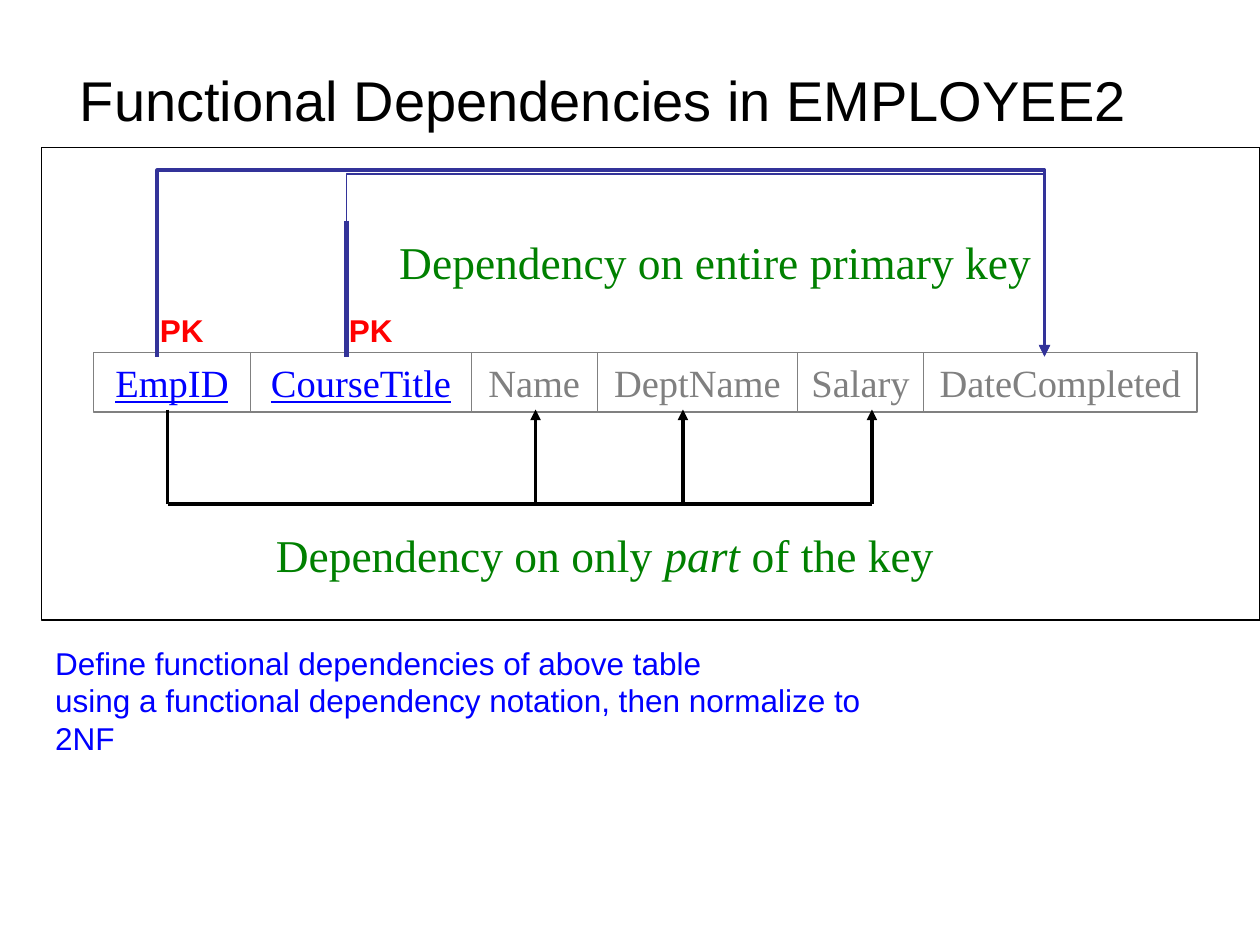
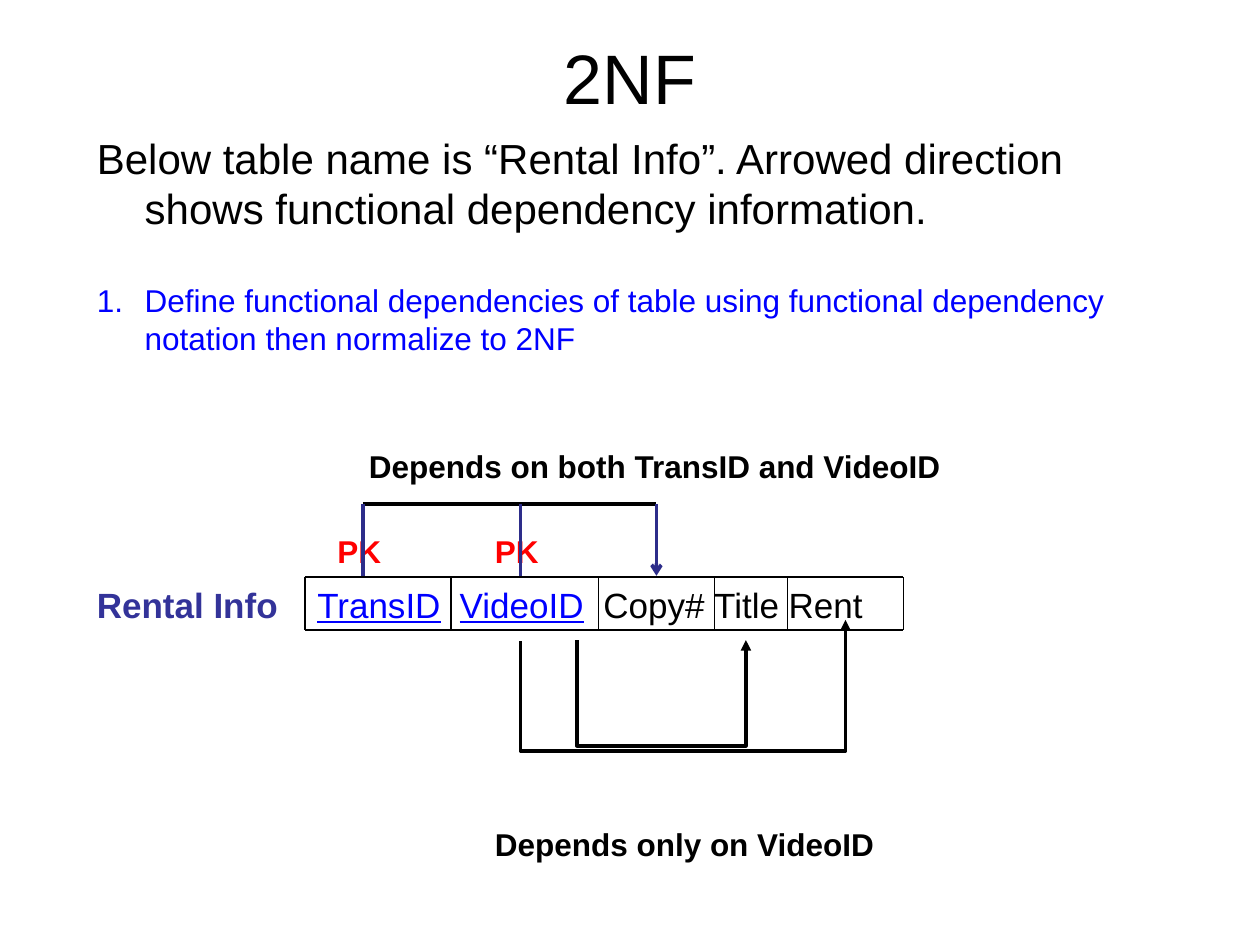
from dataclasses import dataclass
from itertools import accumulate

from lxml.etree import SubElement
from pptx import Presentation
from pptx.dml.color import RGBColor
from pptx.enum.shapes import MSO_CONNECTOR, MSO_SHAPE
from pptx.enum.text import MSO_ANCHOR, PP_ALIGN
from pptx.oxml.ns import qn
from pptx.util import Inches, Pt


@dataclass(frozen=True)
class Theme:
    sans: str = "Arial"
    serif: str = "Times New Roman"
    black: str = "000000"
    white: str = "FFFFFF"
    gray: str = "808080"
    blue: str = "0000FF"
    navy: str = "333399"
    deep_navy: str = "2D2D8A"
    green: str = "008000"
    red: str = "FF0000"
    title: int = 40
    long_title: int = 32
    caption: int = 26
    body: int = 24
    attribute: int = 22
    row: int = 20
    note: int = 18
    thin: float = 0.75
    medium: float = 2
    thick: float = 2.25
    key_stem: float = 2.5


THEME = Theme()


@dataclass(frozen=True)
class Box:
    left: float
    top: float
    width: float
    height: float

    def inner(self, left, top, width, height):
        return Box(self.left + left, self.top + top, width, height)

    def point(self, across, down):
        return Inches(self.left + across), Inches(self.top + down)

    def lengths(self):
        return [Inches(value) for value in (self.left, self.top, self.width, self.height)]


def write(frame, text, font=THEME.sans, size=THEME.note, color=THEME.black,
          align=PP_ALIGN.LEFT, bold=False, space_before=0):
    para = frame.paragraphs[0]
    if para.runs:
        para = frame.add_paragraph()
    para.alignment = align
    para.space_before = Pt(space_before)
    for words, changes in [(text, {})] if isinstance(text, str) else text:
        span = para.add_run()
        span.text = words
        span.font.name = font
        span.font.size = Pt(size)
        span.font.bold = changes.get("bold", bold)
        span.font.italic = changes.get("italic", False)
        span.font.underline = changes.get("underline", False)
        span.font.color.rgb = RGBColor.from_string(changes.get("color", color))
    return para


def text_frame(page, box, wrap=True, anchor=MSO_ANCHOR.TOP):
    frame = page.shapes.add_textbox(*box.lengths()).text_frame
    frame.word_wrap = wrap
    frame.vertical_anchor = anchor
    return frame


def rectangle(page, box, line_color):
    shape = page.shapes.add_shape(MSO_SHAPE.RECTANGLE, *box.lengths())
    shape.shadow.inherit = False
    shape.fill.solid()
    shape.fill.fore_color.rgb = RGBColor.from_string(THEME.white)
    style_line(shape, line_color, THEME.thin)
    return shape


def style_line(shape, color, width, head=None):
    shape.line.color.rgb = RGBColor.from_string(color)
    shape.line.width = Pt(width)
    if head:
        outline = shape._element.spPr.find(qn("a:ln"))
        SubElement(outline, qn("a:tailEnd"), type=head)


def straight(page, box, start, end, color=THEME.black, width=THEME.medium, head=None):
    line = page.shapes.add_connector(
        MSO_CONNECTOR.STRAIGHT, *box.point(*start), *box.point(*end))
    style_line(line, color, width, head)
    SubElement(line._element.spPr, qn("a:effectLst"))


def routed_arrow(page, box, points, color=THEME.black, width=THEME.medium):
    start, *turns = [box.point(*point) for point in points]
    builder = page.shapes.build_freeform(*start)
    builder.add_line_segments(turns, close=False)
    arrow = builder.convert_to_shape()
    arrow.shadow.inherit = False
    arrow.fill.background()
    style_line(arrow, color, width, "triangle")


def title(page, box, text, size):
    frame = text_frame(page, box, anchor=MSO_ANCHOR.MIDDLE)
    write(frame, text, size=size, align=PP_ALIGN.CENTER)


def key_marks(page, box, lefts):
    for left in lefts:
        frame = text_frame(page, box.inner(left, 0, 0.58, 0.4))
        write(frame, "PK", color=THEME.red, bold=True)


def attribute_row(page, box, attributes, keys):
    lefts = accumulate((width for _, width in attributes), initial=0)
    for (name, width), left in zip(attributes, lefts):
        is_key = name in keys
        cell = rectangle(page, box.inner(left, 0, width, box.height), THEME.gray)
        cell.text_frame.vertical_anchor = MSO_ANCHOR.TOP
        write(cell.text_frame, [(name, {"underline": is_key})], font=THEME.serif,
              size=THEME.attribute, align=PP_ALIGN.CENTER,
              color=THEME.blue if is_key else THEME.gray)


def employee_diagram(page, box):
    rectangle(page, box, THEME.black)
    attributes = [("EmpID", 1.25), ("CourseTitle", 1.75), ("Name", 1),
                  ("DeptName", 1.59), ("Salary", 1), ("DateCompleted", 2.17)]
    attribute_row(page, box.inner(0.41, 1.63, 8.76, 0.47), attributes,
                  ("EmpID", "CourseTitle"))

    captions = [
        (box.inner(2.74, 0.64, 5.22, 0.54), "Dependency on entire primary key"),
        (box.inner(1.76, 2.96, 5.42, 0.54),
         [("Dependency on only ", {}), ("part", {"italic": True}), (" of the key", {})]),
    ]
    for place, text in captions:
        write(text_frame(page, place, wrap=False), text, font=THEME.serif,
              size=THEME.caption, color=THEME.green)

    row_top, completed = 1.66, 7.96
    for key, rail, width in ((0.92, 0.18, THEME.thick), (2.42, 0.21, THEME.thin)):
        routed_arrow(page, box, [(key, row_top), (key, rail), (completed, rail),
                                 (completed, row_top)], THEME.navy, width)
    straight(page, box, (2.42, 0.58), (2.42, row_top), THEME.navy, THEME.key_stem)
    key_marks(page, box.inner(0, 1.25, box.width, 0.4), (0.84, 2.34))

    row_bottom, rail, emp_id = 2.08, 2.83, 1
    dependents = (6.59, 5.09, 3.92)
    straight(page, box, (emp_id, row_bottom), (emp_id, rail))
    straight(page, box, (emp_id, rail), (dependents[0], rail))
    for across in dependents:
        straight(page, box, (across, rail), (across, row_bottom), head="triangle")


def employee_exercise(page, box):
    frame = text_frame(page, box, wrap=False)
    for line in ("Define functional dependencies of above table",
                 "using a functional dependency notation, then normalize to 2NF"):
        write(frame, line, color=THEME.blue)


def rental_exercise(page, box):
    frame = text_frame(page, box)
    intro = write(frame, "Below table name is “Rental Info”. Arrowed direction "
                  "shows functional dependency information.", size=THEME.body)
    task = write(frame, "Define functional dependencies of table using functional "
                 "dependency notation then normalize to 2NF",
                 color=THEME.blue, space_before=27.6)
    for para in (intro, task):
        layout = para._p.get_or_add_pPr()
        layout.set("marL", str(Inches(0.38)))
        layout.set("indent", str(-Inches(0.38)))
    bullet_color = SubElement(task._p.pPr, qn("a:buClr"))
    SubElement(bullet_color, qn("a:srgbClr"), val=THEME.blue)
    SubElement(task._p.pPr, qn("a:buAutoNum"), type="arabicPeriod")


def rental_row(page, box):
    key = {"color": THEME.blue, "underline": True}
    columns = [("TransID", key, 1.75), ("VideoID", key, 2.88), ("Copy#", {}, 4.02),
               ("Title", {}, 4.9), ("Rent", {}, 5.49)]
    spans = [("Rental Info", {"color": THEME.navy, "bold": True})]
    for name, changes, _ in columns:
        spans += [("\t", {}), (name, changes)]
    para = write(text_frame(page, box), spans, size=THEME.row)
    stops = SubElement(para._p.get_or_add_pPr(), qn("a:tabLst"))
    for _, _, stop in columns:
        SubElement(stops, qn("a:tab"), pos=str(Inches(stop)), algn="l")

    borders, bottom = (1.75, 2.91, 4.08, 5, 5.58, 6.5), 0.42
    for down in (0, bottom):
        straight(page, box, (borders[0], down), (borders[-1], down), width=THEME.thin)
    for across in borders:
        straight(page, box, (across, 0), (across, bottom), width=THEME.thin)


def rental_diagram(page, box):
    rental_row(page, box.inner(0, 1.08, box.width, 0.43))
    routed_arrow(page, box, [(3.91, 1.58), (3.91, 2.42), (5.25, 2.42), (5.25, 1.58)])
    routed_arrow(page, box, [(3.46, 1.59), (3.46, 2.46), (6.04, 2.46), (6.04, 1.42)])
    for place, text in (
        (box.inner(3.16, 3, 3.22, 0.4), "Depends only on VideoID"),
        (box.inner(2.16, 0, 4.76, 0.4), "Depends on both TransID and VideoID"),
    ):
        write(text_frame(page, place, wrap=False), text, bold=True)

    key_marks(page, box.inner(0, 0.67, box.width, 0.4), (1.91, 3.16))
    rail, row_top = 0.5, 1.07
    straight(page, box, (2.21, rail), (4.54, rail))
    for across, head in ((4.54, "arrow"), (3.46, None), (2.21, None)):
        straight(page, box, (across, rail), (across, row_top), THEME.deep_navy, head=head)


def employee_page(page):
    title(page, Box(0.33, 0.33, 8.92, 0.92), "Functional Dependencies in EMPLOYEE2",
          THEME.long_title)
    employee_diagram(page, Box(0.33, 1.17, 9.67, 3.75))
    employee_exercise(page, Box(0.34, 5.06, 7.13, 0.7))


def rental_page(page):
    title(page, Box(0.5, 0.3, 9, 0.62), "2NF", THEME.title)
    rental_exercise(page, Box(0.67, 1, 8.75, 1.9))
    rental_diagram(page, Box(0.67, 3.5, 8.5, 3.4))


def main():
    deck = Presentation()
    deck.slide_width, deck.slide_height = Inches(10), Inches(7.5)
    for build_page in (employee_page, rental_page):
        build_page(deck.slides.add_slide(deck.slide_layouts[6]))
    deck.save("out.pptx")


if __name__ == "__main__":
    main()
